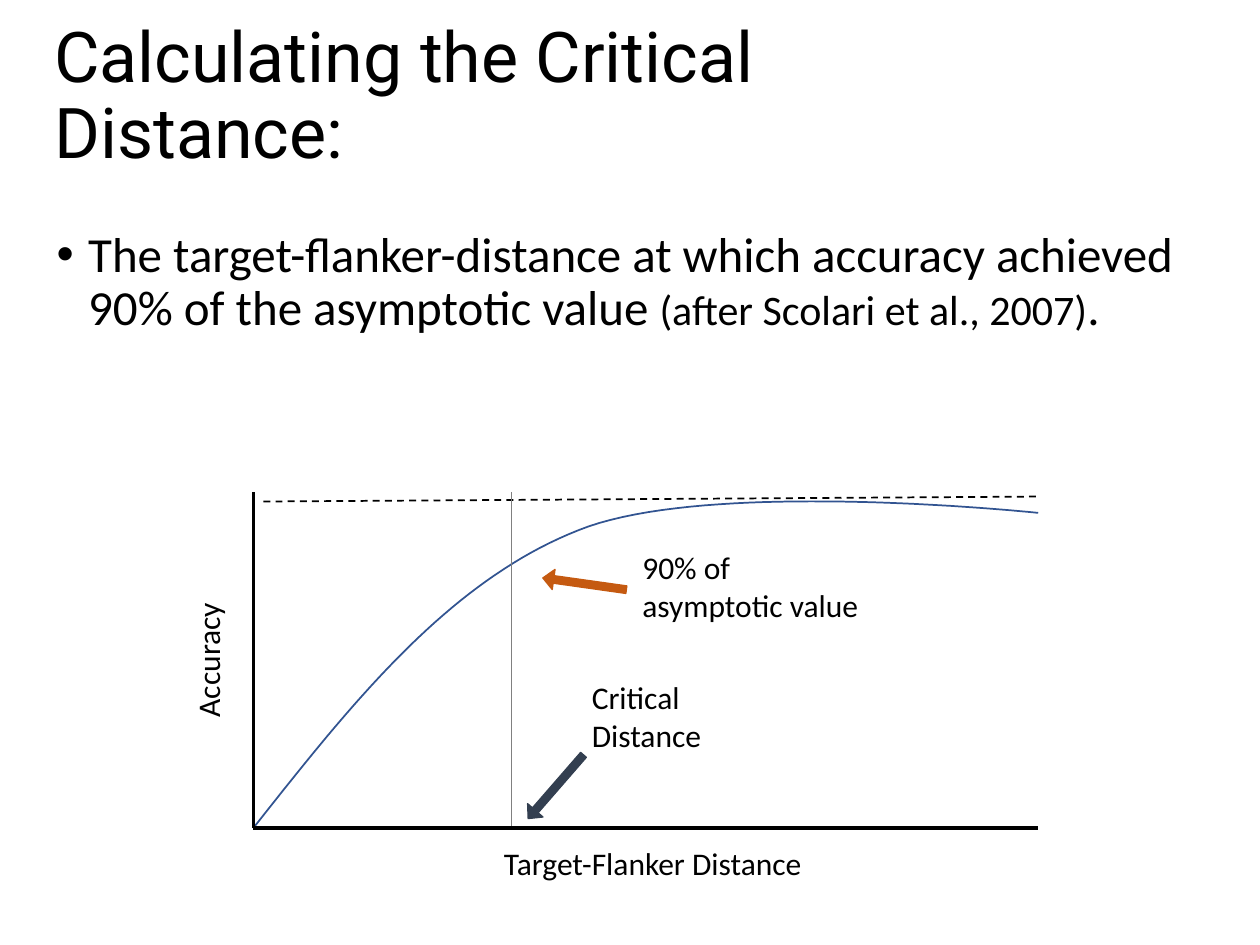
from dataclasses import dataclass

from lxml import etree
from pptx import Presentation
from pptx.dml.color import RGBColor
from pptx.enum import dml, shapes, text
from pptx.oxml.ns import qn
from pptx.util import Cm, Pt


@dataclass(frozen=True)
class Theme:
    ink: str = "000000"
    curve: str = "325491"
    marker: str = "808080"
    distance: str = "333F50"
    accuracy: str = "C55A11"
    heading_font: str = "Roboto"
    body_font: str = "Calibri"
    title_size: int = 40
    body_size: int = 28
    citation_size: int = 24
    label_size: int = 18


THEME = Theme()

# Plot frame in centimetres
LEFT, RIGHT, TOP, BOTTOM = 5.11, 20.93, 9.91, 16.69
CRITICAL = 10.31
CURVE_SEGMENTS = [
    [(LEFT, BOTTOM), (7.06, 14.22), (9.02, 11.73), (11.66, 10.69)],
    [(11.66, 10.69), (14.27, 9.63), (RIGHT, 10.34), (RIGHT, 10.34)],
]


def color(value):
    return RGBColor.from_string(value)


def place(box, left, top, width, height):
    box.left, box.top = Cm(left), Cm(top)
    box.width, box.height = Cm(width), Cm(height)


def add_span(para, words, *, size, font=THEME.body_font, ink=THEME.ink):
    span = para.add_run()
    span.text = words
    span.font.size = Pt(size)
    span.font.name = font
    span.font.color.rgb = color(ink)


def fill_title(page):
    box = page.shapes.title
    place(box, 0.84, -0.08, 17.04, 4.11)
    box.text_frame.vertical_anchor = text.MSO_ANCHOR.MIDDLE
    box.text_frame.auto_size = text.MSO_AUTO_SIZE.NONE
    para = box.text_frame.paragraphs[0]
    para.alignment = text.PP_ALIGN.LEFT
    para.line_spacing = 0.9
    add_span(para, "Calculating the Critical Distance:",
             size=THEME.title_size, font=THEME.heading_font)


def add_text_box(page, left, top, width, height):
    box = page.shapes.add_textbox(Cm(left), Cm(top), Cm(width), Cm(height))
    box.text_frame.word_wrap = True
    return box


def set_bullet(para, indent):
    props = para._p.get_or_add_pPr()
    props.set("marL", str(Cm(indent)))
    props.set("indent", str(-Cm(indent)))
    etree.SubElement(props, qn("a:buFont")).set("typeface", "Arial")
    etree.SubElement(props, qn("a:buChar")).set("char", "•")


def add_definition(page):
    box = add_text_box(page, 0.89, 4.52, 23.19, 14.2)
    para = box.text_frame.paragraphs[0]
    para.line_spacing = 0.9
    para.space_before = Pt(10)
    set_bullet(para, 0.64)
    add_span(para, "The target-flanker-distance at which accuracy achieved "
             "90% of the asymptotic value ", size=THEME.body_size)
    add_span(para, "(after Scolari et al., 2007)", size=THEME.citation_size)
    add_span(para, ".", size=THEME.body_size)


def add_label(page, lines, left, top, width, height, *, rotation=0):
    box = add_text_box(page, left, top, width, height)
    box.rotation = rotation
    frame = box.text_frame
    for number, words in enumerate(lines):
        para = frame.add_paragraph() if number else frame.paragraphs[0]
        add_span(para, words, size=THEME.label_size)


def add_line(page, start, end, *, ink=THEME.ink, width=1.0, dash=None):
    line = page.shapes.add_connector(
        shapes.MSO_CONNECTOR.STRAIGHT, *map(Cm, start + end))
    line.line.color.rgb = color(ink)
    line.line.width = Pt(width)
    if dash:
        line.line.dash_style = dash
    etree.SubElement(line._element.spPr, qn("a:effectLst"))


def bezier_point(points, t):
    weights = ((1 - t) ** 3, 3 * t * (1 - t) ** 2, 3 * t * t * (1 - t), t ** 3)
    return tuple(Cm(sum(w * p[axis] for w, p in zip(weights, points)))
                 for axis in (0, 1))


def add_accuracy_curve(page, steps=40):
    points = [bezier_point(segment, step / steps)
              for segment in CURVE_SEGMENTS for step in range(1, steps + 1)]
    builder = page.shapes.build_freeform(Cm(LEFT), Cm(BOTTOM))
    builder.add_line_segments(points, close=False)
    curve = builder.convert_to_shape()
    curve.shadow.inherit = False
    curve.fill.background()
    curve.line.color.rgb = color(THEME.curve)
    curve.line.width = Pt(1)


def add_pointer(page, left, top, *, rotation, ink):
    pointer = page.shapes.add_shape(
        shapes.MSO_SHAPE.DOWN_ARROW, Cm(left), Cm(top), Cm(0.41), Cm(1.7))
    pointer.adjustments[0] = 0.374
    pointer.adjustments[1] = 0.534
    pointer.rotation = rotation
    pointer.shadow.inherit = False
    pointer.fill.solid()
    pointer.fill.fore_color.rgb = color(ink)
    pointer.line.color.rgb = color(ink)
    pointer.line.width = Pt(0.75)


def add_plot(page):
    add_accuracy_curve(page)
    add_line(page, (LEFT, BOTTOM), (LEFT, TOP), width=2.25)
    add_line(page, (5.31, 10.11), (RIGHT, 10.01),
             dash=dml.MSO_LINE.DASH)
    add_line(page, (CRITICAL, BOTTOM), (CRITICAL, TOP), ink=THEME.marker)
    add_line(page, (LEFT, BOTTOM), (RIGHT, BOTTOM), width=2.25)

    add_label(page, ["Target-Flanker Distance"], 9.91, 16.89, 7.8, 1.02)
    add_label(page, ["Accuracy"], 2.59, 12.6, 3.2, 1.02, rotation=270)
    add_label(page, ["Critical Distance"], 11.68, 13.54, 3.2, 1.8)
    add_label(page, ["90% of", "asymptotic value"], 12.7, 10.92, 6.4, 1.8)

    add_pointer(page, 11, 15.01, rotation=41, ink=THEME.distance)
    add_pointer(page, 11.58, 10.92, rotation=98, ink=THEME.accuracy)


def main():
    deck = Presentation()
    deck.slide_width, deck.slide_height = Cm(25.4), Cm(19.05)
    page = deck.slides.add_slide(deck.slide_layouts.get_by_name("Title Only"))
    fill_title(page)
    add_definition(page)
    add_plot(page)
    deck.save("out.pptx")


if __name__ == "__main__":
    main()
